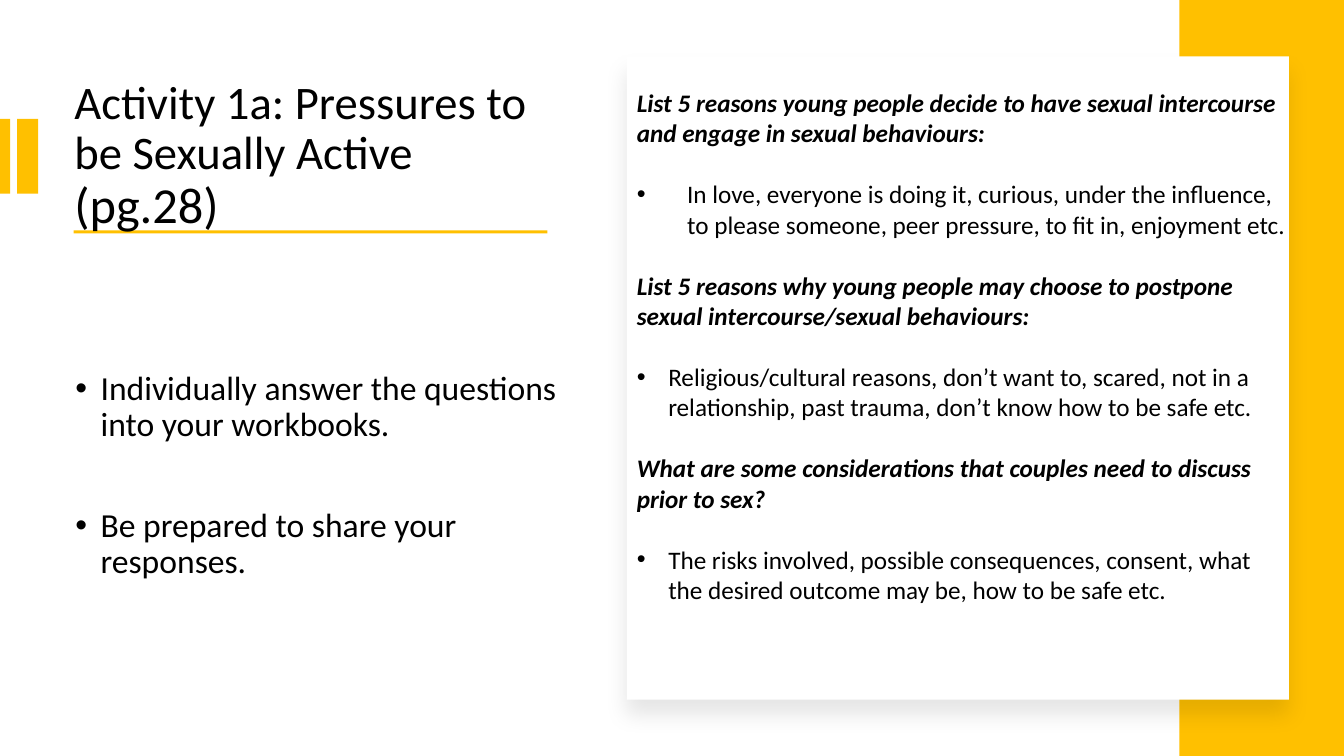
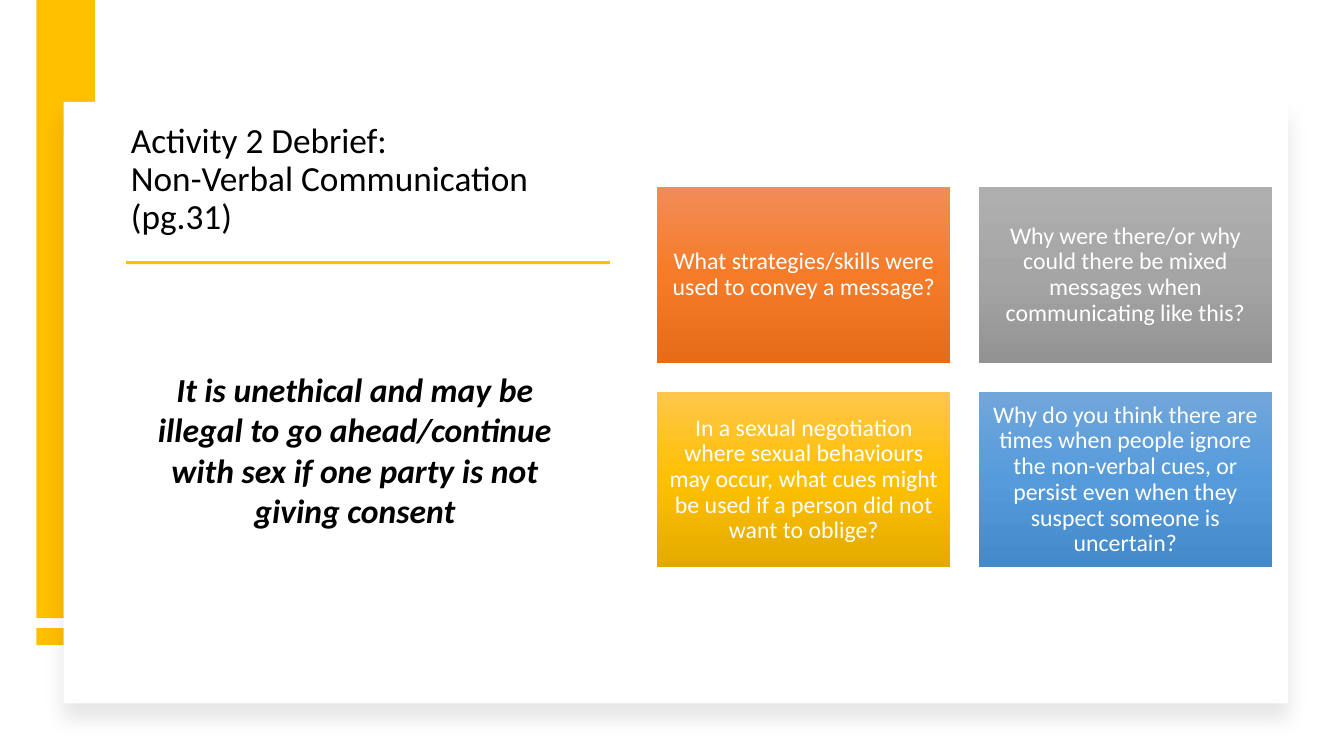
"""Builds two activity slides on sexual decision making."""
from lxml import etree
from copy import deepcopy
from pptx import Presentation, util as u
from pptx.dml.color import RGBColor
from pptx.enum import shapes, text
from pptx.oxml.ns import qn

hue = RGBColor.from_string
GOLD, WHITE, BLACK = "FFC000", "FFFFFF", "000000"
MID, LOW = text.MSO_ANCHOR.MIDDLE, text.MSO_ANCHOR.BOTTOM
MARGINS = ("margin_left", "margin_top", "margin_right", "margin_bottom")


def block(slide, at, fill=GOLD, shade=False):
    shape = slide.shapes.add_shape(shapes.MSO_SHAPE.RECTANGLE, *map(u.Pt, at))
    shape.shadow.inherit = False
    shape.fill.solid()
    shape.fill.fore_color.rgb = hue(fill)
    shape.line.fill.background()
    if shade:
        list_ = shape._element.spPr.find(qn("a:effectLst"))
        cast = etree.SubElement(list_, qn("a:outerShdw"), blurRad=str(u.Pt(15)),
                                dist=str(u.Pt(11)), dir="5400000", algn="t", rotWithShape="0")
        tone = etree.SubElement(cast, qn("a:srgbClr"), val=BLACK)
        etree.SubElement(tone, qn("a:alpha"), val="10000")
    return shape


def write(frame, words, size, tint=BLACK, indent=0, para=None, font=None):
    first = frame.paragraphs[0]
    line = frame.add_paragraph() if first.runs else first
    line.text = words
    if indent:
        props = line._p.get_or_add_pPr()
        props.set("marL", str(u.Pt(indent)))
        props.set("indent", str(u.Pt(-indent)))
        etree.SubElement(props, qn("a:buFont"), typeface="Arial")
        etree.SubElement(props, qn("a:buChar"), char="•")
    for key, val in (para or {}).items():
        setattr(line, key, val)
    for run in line.runs:
        look = {"name": "Calibri", "size": u.Pt(size), **(font or {})}
        for key, val in look.items():
            setattr(run.font, key, val)
        run.font.color.rgb = hue(tint)
    return line


deck = Presentation()
deck.slide_width, deck.slide_height = u.Pt(960), u.Pt(540)
blank = deck.slide_layouts[6]
one, two = deck.slides.add_slide(blank), deck.slides.add_slide(blank)

tight = {"line_spacing": 0.9}
strong = {"bold": True, "italic": True}
center = {"alignment": text.PP_ALIGN.CENTER}

plates = [
    (one, (0, 85, 7.2, 53.3), GOLD, False),
    (one, (12.2, 85, 15.1, 53.3), GOLD, False),
    (one, (52.6, 164.5, 338.4, 2.2), GOLD, False),
    (one, (842.4, 0, 117.6, 540), GOLD, False),
    (one, (447.8, 40.3, 473, 459.4), WHITE, True),
    (two, (25.9, 448.6, 41.8, 12.2), GOLD, False),
    (two, (25.9, 0, 41.8, 441.6), GOLD, False),
    (two, (45.4, 72.7, 874.8, 429.8), WHITE, True),
    (two, (90, 186.5, 345.6, 2.2), GOLD, False),
]
for plate in plates:
    block(*plate)

areas = {
    "head": (one, (46, 67.7, 359.3, 88.6), MID),
    "tasks": (one, (46.8, 183.6, 359.3, 313.2), MID),
    "lists": (one, (447.8, 59, 480.2, 421.9), text.MSO_ANCHOR.TOP),
    "title": (two, (86.4, 97.2, 370.8, 75.6), LOW),
    "quote": (two, (100.8, 259.9, 305.3, 123.8), text.MSO_ANCHOR.TOP),
}
frames = {}
for name, (slide, at, anchor) in areas.items():
    frame = slide.shapes.add_textbox(*map(u.Pt, at)).text_frame
    frame.word_wrap = True
    frame.vertical_anchor = anchor
    frames[name] = frame

head = write(frames["head"], "Activity 1a: Pressures to be Sexually Active ", 33.3, para=tight)
page = head.add_run()
page.text = "(pg.28)"
page.font.name, page.font.size = "Calibri", u.Pt(36)
page.font.color.rgb = hue(BLACK)

tasks = ["Individually answer the questions into your workbooks.",
         "Be prepared to share your responses."]
for i, task in enumerate(tasks):
    write(frames["tasks"], task, 24, indent=18, para={**tight, "space_before": u.Pt(46 * i)})

lists = [
    ("List 5 reasons young people decide to have sexual intercourse and engage in sexual behaviours:",
     36, "In love, everyone is doing it, curious, under the influence, to please someone, "
     "peer pressure, to fit in, enjoyment etc."),
    ("List 5 reasons why young people may choose to postpone sexual intercourse/sexual behaviours:",
     22.5, "Religious/cultural reasons, don’t want to, scared, not in a relationship, "
     "past trauma, don’t know how to be safe etc."),
    ("What are some considerations that couples need to discuss prior to sex?",
     22.5, "The risks involved, possible consequences, consent, what the desired outcome may be, "
     "how to be safe etc."),
]
gap = {"space_before": u.Pt(22)}
for i, (ask, indent, reply) in enumerate(lists):
    write(frames["lists"], ask, 18, para=gap if i else None, font=strong)
    write(frames["lists"], reply, 18, indent=indent, para=gap)

write(frames["title"], "Activity 2 Debrief:\vNon-Verbal Communication (pg.31)", 25.2, para=tight)
write(frames["quote"], "It is unethical and may be illegal to go ahead/continue with sex "
      "if one party is not giving consent", 24, para=center, font=strong)

cards = [
    ("What strategies/skills were used to convey a message?", ("F18C57", "F67B28", "E56C19")),
    ("Why were there/or why could there be mixed messages when communicating like this?",
     ("AFAFAF", "A5A5A5", "939393")),
    ("In a sexual negotiation where sexual behaviours may occur, what cues might be used "
     "if a person did not want to oblige?", ("FFC64B", "FFC000", "E3AB00")),
    ("Why do you think there are times when people ignore the non-verbal cues, or persist "
     "even when they suspect someone is uncertain?", ("71A6DB", "559BDB", "448ACA")),
]
for i, (words, tones) in enumerate(cards):
    row, col = divmod(i, 2)
    card = block(two, (469.4 + 229.7 * col, 133.9 + 146.2 * row, 209.5, 125.3))
    card.fill.gradient()
    card.fill.gradient_angle = 270
    stops = card._element.spPr.find(".//" + qn("a:gsLst"))
    stops.insert(1, deepcopy(stops[0]))
    for stop, spot, tone in zip(card.fill.gradient_stops, (0, 0.5, 1), tones):
        stop.position = spot
        stop.color.rgb = hue(tone)
    frame = card.text_frame
    frame.word_wrap = True
    frame.vertical_anchor = MID
    for side in MARGINS:
        setattr(frame, side, u.Pt(5))
    write(frame, words, 17, WHITE, para={**tight, **center})

deck.save("out.pptx")
